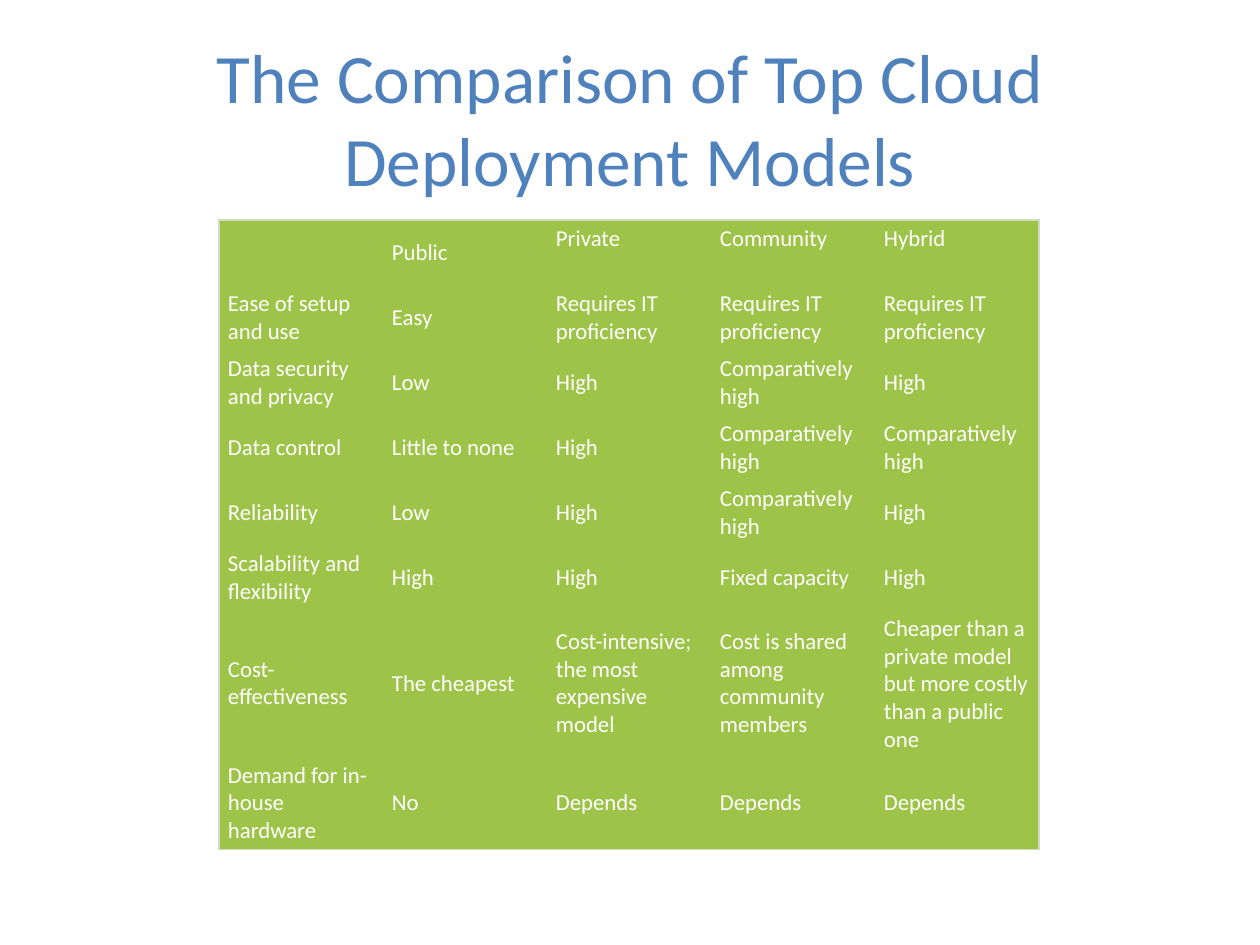
"""Builds a slide comparing cloud deployment models in a table."""
from lxml import etree
from pptx import Presentation
from pptx.dml.color import RGBColor
from pptx.enum.text import MSO_ANCHOR, PP_ALIGN
from pptx.oxml.ns import qn
from pptx.util import Emu, Pt

MIDDLE, TOP = MSO_ANCHOR.MIDDLE, MSO_ANCHOR.TOP
CENTER = PP_ALIGN.CENTER
BLUE = RGBColor(0x4F, 0x81, 0xBD)
GREEN = RGBColor(0x9D, 0xC3, 0x48)
PALE = RGBColor(0xD0, 0xDC, 0xBF)
WHITE = RGBColor(0xFF, 0xFF, 0xFF)
FONT = "Calibri"

COLUMN_WIDTH = 164
ROW_HEIGHTS = [65] * 6 + [146, 93]
MODELS = [
    ["", "Public", "Private", "Community", "Hybrid"],
    ["Ease of setup and use", "Easy"] + ["Requires IT proficiency"] * 3,
    ["Data security and privacy", "Low", "High", "Comparatively high", "High"],
    ["Data control", "Little to none", "High", "Comparatively high", "Comparatively high"],
    ["Reliability", "Low", "High", "Comparatively high", "High"],
    ["Scalability and flexibility", "High", "High", "Fixed capacity", "High"],
    ["Cost-effectiveness", "The cheapest", "Cost-intensive; the most expensive model",
     "Cost is shared among community members",
     "Cheaper than a private model but more costly than a public one"],
    ["Demand for in-house hardware", "No"] + ["Depends"] * 3,
]


def px(length):
    return Emu(round(length * 914400 / 126))


class SlideBuilder:
    def __init__(self, deck):
        self.page = deck.slides.add_slide(deck.slide_layouts[6])

    def set_text(self, frame, text, size, color, align=None):
        para = frame.paragraphs[0]
        para.text = text
        para.alignment = align
        para.font.name = FONT
        para.font.size = Pt(size)
        para.font.color.rgb = color

    def title(self, left, top, width, height, text):
        box = self.page.shapes.add_textbox(px(left), px(top), px(width), px(height))
        frame = box.text_frame
        frame.word_wrap = True
        frame.vertical_anchor = MIDDLE
        self.set_text(frame, text, 39.6, BLUE, CENTER)

    def border(self, cell, sides):
        properties = cell._tc.get_or_add_tcPr()
        for position, (side, visible) in enumerate(sides.items()):
            line = etree.Element(qn(f"a:ln{side}"), w=str(Pt(0.75)))
            if visible:
                fill = etree.SubElement(line, qn("a:solidFill"))
                etree.SubElement(fill, qn("a:srgbClr"), val=str(PALE))
            else:
                etree.SubElement(line, qn("a:noFill"))
            properties.insert(position, line)

    def cell(self, cell, text, anchor):
        cell.fill.solid()
        cell.fill.fore_color.rgb = GREEN
        cell.margin_left = cell.margin_right = px(9)
        cell.margin_top = cell.margin_bottom = px(5)
        cell.vertical_anchor = anchor
        self.set_text(cell.text_frame, text, 13, WHITE)

    def table(self, left, top, rows, column_width, row_heights):
        row_count, column_count = len(rows), len(rows[0])
        table = self.page.shapes.add_table(
            row_count, column_count, px(left), px(top),
            px(column_width * column_count), px(sum(row_heights))).table
        table.first_row = table.horz_banding = False
        for column in table.columns:
            column.width = px(column_width)
        for r, (texts, height) in enumerate(zip(rows, row_heights)):
            table.rows[r].height = px(height)
            for c, text in enumerate(texts):
                cell = table.cell(r, c)
                self.cell(cell, text, TOP if r == 0 and c > 1 else MIDDLE)
                self.border(cell, {"L": c == 0, "R": c == column_count - 1,
                                   "T": r == 0, "B": r == row_count - 1})


def main():
    deck = Presentation()
    deck.slide_width, deck.slide_height = px(1260), px(945)
    slide = SlideBuilder(deck)
    slide.title(63, 38, 1134, 158, "The Comparison of Top Cloud Deployment Models")
    slide.table(219, 220, MODELS, COLUMN_WIDTH, ROW_HEIGHTS)
    deck.save("out.pptx")


if __name__ == "__main__":
    main()
